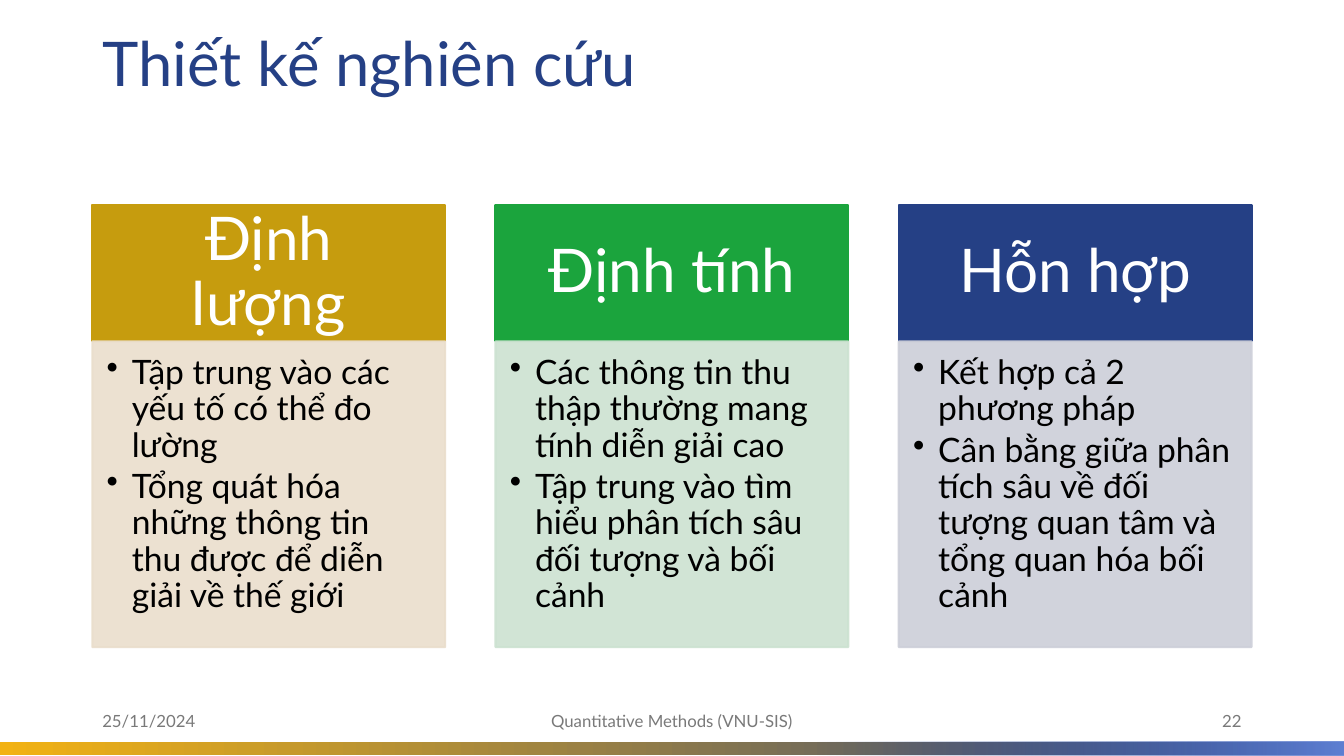
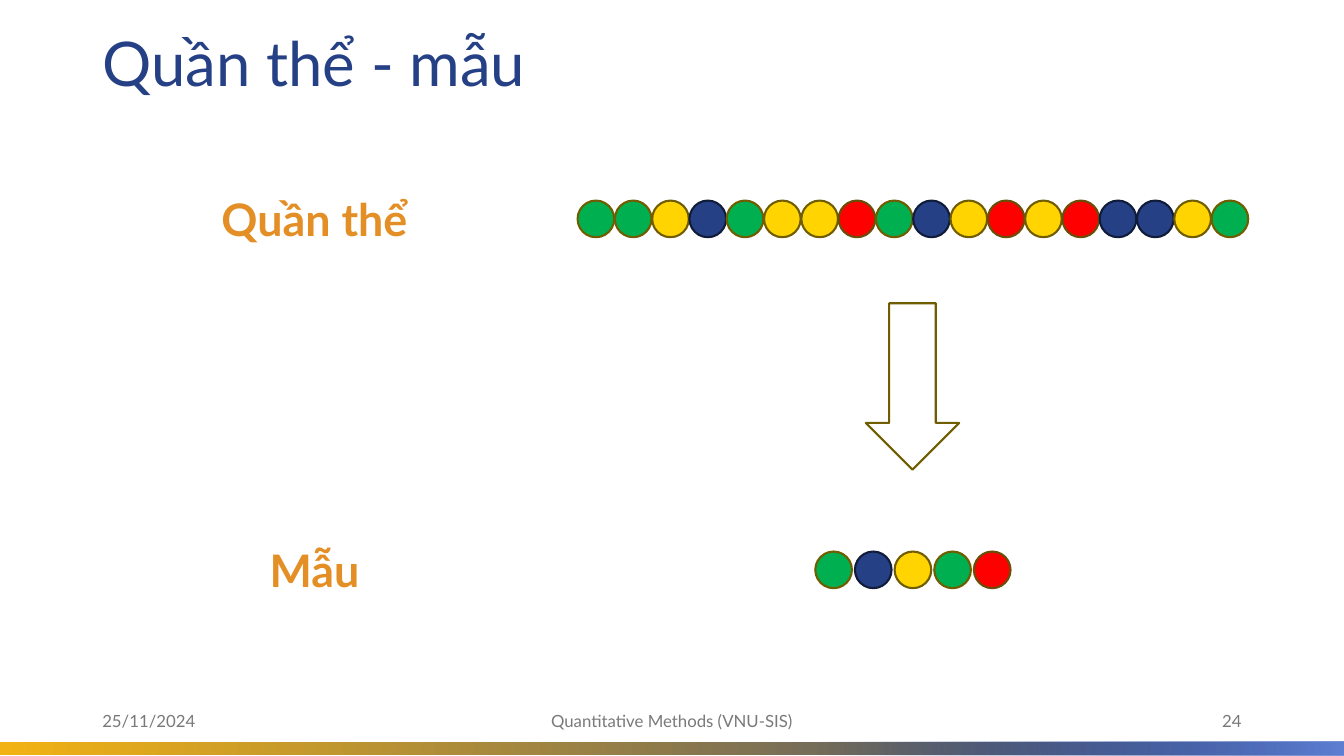
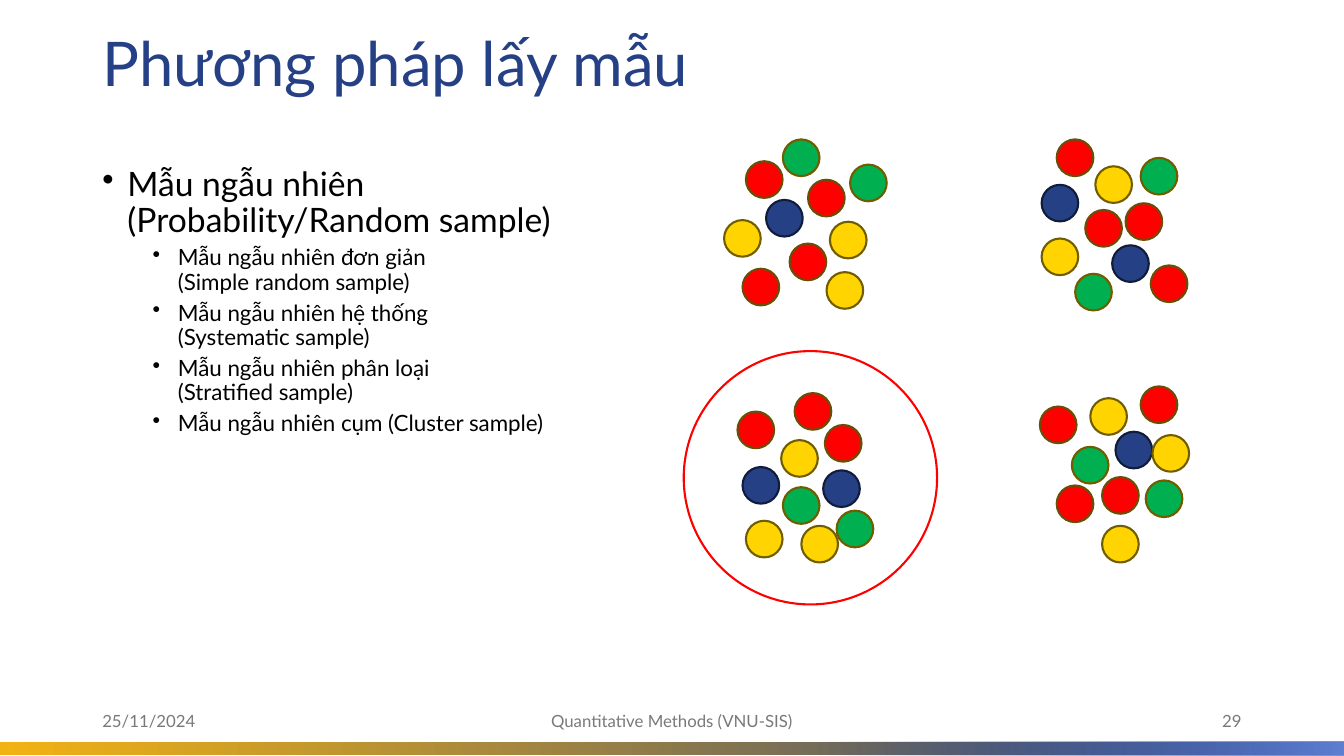
"""Three lecture slides on research design, populations and sampling."""
from copy import deepcopy
from dataclasses import dataclass

from lxml import etree
from pptx import Presentation
from pptx import util as u
from pptx.dml.color import RGBColor
from pptx.enum import shapes, text
from pptx.oxml import ns

COLS, ROWS = 80, 45
CELL = u.Inches(1 / 6)


@dataclass(frozen=True)
class Theme:
    """Colours, type sizes and common measures, in grid cells."""
    font: str = "Lato"
    navy: str = "254085"
    amber: str = "F2B213"
    sky: str = "5F80D3"
    grey: str = "797979"
    black: str = "000000"
    white: str = "FFFFFF"
    red: str = "FF0000"
    orange: str = "E48F26"
    olive: str = "705D00"
    title_size: int = 44
    card_size: int = 43
    label_size: int = 32
    body_size: int = 24
    sub_size: int = 16
    footer_size: int = 12
    line: float = 1.5
    margin: float = 5.5
    ball: float = 2.18


THEME = Theme()
BALLS = {
    "G": ("00B050", THEME.olive),
    "Y": ("FFD400", THEME.olive),
    "R": (THEME.red, "6A4E08"),
    "B": (THEME.navy, "101C3A"),
}


def rgb(code):
    """Turn a hex code into a colour."""
    return RGBColor.from_string(code)


def cells(*counts):
    """Turn grid counts into lengths."""
    return [u.Emu(round(count * CELL)) for count in counts]


def set_alpha(colour, percent):
    """Give a colour element an opacity."""
    etree.SubElement(colour, ns.qn("a:alpha")).set("val", str(percent * 1000))


class Deck:
    """Holds the presentation, its style and the current slide."""

    def __init__(self, theme):
        """Start an empty deck of the grid's size."""
        self.theme = theme
        self.file = Presentation()
        self.file.slide_width, self.file.slide_height = cells(COLS, ROWS)
        self.slide = None

    def start(self, title, number):
        """Add a slide with its title, band and footer."""
        t = self.theme
        self.slide = self.file.slides.add_slide(self.file.slide_layouts[5])
        heading = self.slide.shapes.title
        heading.left, heading.top, heading.width, heading.height = cells(
            t.margin, 0.9, COLS - 2 * t.margin, 6.1)
        self.frame(heading, anchor=text.MSO_ANCHOR.MIDDLE)
        self.add_text(heading, title, t.title_size, t.navy, spacing=0.9)
        self.band(0, COLS, (0, t.amber), (1, t.navy))
        overlay = self.band(41.2, COLS - 41.2, (0.19, t.navy), (1, t.sky))
        set_alpha(next(overlay._element.spPr.iter(ns.qn("a:srgbClr"))), 0)
        footers = (
            (t.margin, 18, "25/11/2024", text.PP_ALIGN.LEFT),
            (26.5, 27, "Quantitative Methods (VNU-SIS)", text.PP_ALIGN.CENTER),
            (COLS - t.margin - 18, 18, str(number), text.PP_ALIGN.RIGHT),
        )
        for left, width, words, align in footers:
            footer = self.box((left, 41.7, width, 2.4), text.MSO_ANCHOR.MIDDLE)
            self.add_text(footer, words, t.footer_size, t.grey, align)

    def band(self, left, width, *stops):
        """Draw a strip with a gradient along the slide's foot."""
        strip = self.shape(shapes.MSO_SHAPE.RECTANGLE, (left, 44.17, width, 0.8))
        strip.fill.gradient()
        strip.fill.gradient_angle = 0
        for stop, (position, colour) in zip(strip.fill.gradient_stops, stops):
            stop.position = position
            stop.color.rgb = rgb(colour)
        return strip

    def shape(self, preset, area, fill=None, line=None):
        """Draw a preset shape with a plain fill and outline."""
        drawn = self.slide.shapes.add_shape(preset, *cells(*area))
        drawn.shadow.inherit = False
        if fill:
            drawn.fill.solid()
            drawn.fill.fore_color.rgb = rgb(fill)
        else:
            drawn.fill.background()
        if line:
            drawn.line.color.rgb = rgb(line)
            drawn.line.width = u.Pt(self.theme.line)
        else:
            drawn.line.fill.background()
        return drawn

    def frame(self, holder, insets=(0.6, 0.3, 0.6, 0.3), anchor=text.MSO_ANCHOR.TOP):
        """Set the wrapping, insets and anchor of a text frame."""
        frame = holder.text_frame
        frame.word_wrap = True
        frame.auto_size = text.MSO_AUTO_SIZE.NONE
        frame.vertical_anchor = anchor
        (frame.margin_left, frame.margin_top,
         frame.margin_right, frame.margin_bottom) = cells(*insets)

    def box(self, area, anchor=text.MSO_ANCHOR.TOP):
        """Add a text box."""
        holder = self.slide.shapes.add_textbox(*cells(*area))
        self.frame(holder, anchor=anchor)
        return holder

    def add_text(self, holder, words, size, colour, align=text.PP_ALIGN.LEFT,
                 bold=False, spacing=1.0, before=0, after=0, bullet_at=None):
        """Add a paragraph, bulleted when a bullet's indent is given."""
        frame = holder.text_frame
        first = not frame.text
        paragraph = frame.paragraphs[0] if first else frame.add_paragraph()
        paragraph.alignment = align
        paragraph.line_spacing = spacing
        paragraph.space_before = u.Pt(0 if first else before)
        paragraph.space_after = u.Pt(after)
        if bullet_at is not None:
            props = paragraph._p.get_or_add_pPr()
            hang = cells(1.5)[0]
            props.set("marL", str(cells(bullet_at)[0] + hang))
            props.set("indent", str(-hang))
            etree.SubElement(props, ns.qn("a:buChar")).set("char", "•")
        for index, line in enumerate(words.split("\n")):
            if index:
                paragraph.add_line_break()
                paragraph._p[-1].append(deepcopy(run._r.rPr))
            run = paragraph.add_run()
            run.text = line
            run.font.name = self.theme.font
            run.font.size = u.Pt(size)
            run.font.bold = bold
            run.font.color.rgb = rgb(colour)

    def card(self, left, heading, colour, tint, points):
        """Draw a coloured heading above a tinted list."""
        t, rectangle = self.theme, shapes.MSO_SHAPE.RECTANGLE
        head = self.shape(rectangle, (left, 12.2, 21, 8.12), colour, colour)
        self.frame(head, (2, 1.15, 2, 1.15), text.MSO_ANCHOR.MIDDLE)
        self.add_text(head, heading, t.card_size, t.white, text.PP_ALIGN.CENTER,
                      spacing=0.9)
        body = self.shape(rectangle, (left, 20.32, 21, 18.2), tint, tint)
        for shade in list(body._element.spPr.iter(ns.qn("a:srgbClr"))):
            set_alpha(shade, 90)
        self.frame(body, (0.85, 0.85, 1.15, 1.28))
        for point in points:
            self.add_text(body, point, t.body_size, t.black, spacing=0.9,
                          after=3.6, bullet_at=0)

    def ball(self, kind, left, top):
        """Draw one member of the population."""
        size = self.theme.ball
        self.shape(shapes.MSO_SHAPE.OVAL, (left, top, size, size), *BALLS[kind])

    def ball_row(self, label, kinds, middle, pitch):
        """Draw a label and a centred row of balls at one height."""
        t = self.theme
        name = self.box((3, middle - 1.93, 31.44, 3.86))
        self.add_text(name, label, t.label_size, t.orange, text.PP_ALIGN.CENTER, True)
        left = 54.34 - ((len(kinds) - 1) * pitch + t.ball) / 2
        for index, kind in enumerate(kinds):
            self.ball(kind, left + index * pitch, middle - t.ball / 2)


def design_slide(deck):
    """Compare the three research designs."""
    deck.start("Thiết kế nghiên cứu", 22)
    designs = (
        ("Định lượng", "C69C0E", "EADECC",
         ("Tập trung vào các yếu tố có thể đo lường",
          "Tổng quát hóa những thông tin thu được để diễn giải về thế giới")),
        ("Định tính", "1BA43D", "CCE2D1",
         ("Các thông tin thu thập thường mang tính diễn giải cao",
          "Tập trung vào tìm hiểu phân tích sâu đối tượng và bối cảnh")),
        ("Hỗn hợp", THEME.navy, "CDCFD9",
         ("Kết hợp cả 2 phương pháp",
          "Cân bằng giữa phân tích sâu về đối tượng quan tâm và "
          "tổng quan hóa bối cảnh")),
    )
    for index, design in enumerate(designs):
        deck.card(THEME.margin + 24 * index, *design)


def population_slide(deck):
    """Show a sample drawn from a population."""
    deck.start("Quần thể - mẫu", 24)
    deck.ball_row("Quần thể", "GGYBGYYRGBYRYRBBYG", 13.03, 2.22)
    deck.ball_row("Mẫu", "GBYGR", 33.92, 2.36)
    deck.shape(shapes.MSO_SHAPE.DOWN_ARROW, (51.54, 18.05, 5.55, 9.9),
               THEME.white, THEME.olive)


def sampling_slide(deck):
    """List random sampling methods beside four clusters."""
    deck.start("Phương pháp lấy mẫu", 29)
    methods = deck.box((THEME.margin, 9.65, 29.65, 30.85))
    deck.add_text(methods, "Mẫu ngẫu nhiên (Probability/Random sample)",
                  THEME.body_size, THEME.black, spacing=0.9, bullet_at=0)
    for method in ("Mẫu ngẫu nhiên đơn giản \n(Simple random sample)",
                   "Mẫu ngẫu nhiên hệ thống \n(Systematic sample)",
                   "Mẫu ngẫu nhiên phân loại \n(Stratified sample)",
                   "Mẫu ngẫu nhiên cụm (Cluster sample)"):
        deck.add_text(methods, method, THEME.sub_size, THEME.black, spacing=0.9,
                      before=5, bullet_at=3)
    clusters = (
        {"B": ((66.2, 14.6), (62, 11)),
         "Y": ((62, 14.2), (65.2, 9.9)),
         "G": ((67.9, 9.4), (64, 16.3)),
         "R": ((64.6, 12.5), (62.9, 8.3), (67, 12.1), (68.5, 15.8))},
        {"B": ((45.6, 11.9),),
         "Y": ((49.2, 16.2), (49.4, 13.2), (43.1, 13.1)),
         "G": ((46.6, 8.3), (50.6, 9.8)),
         "R": ((44.4, 9.6), (44.2, 16), (48.1, 10.7), (47, 14.5))},
        {"B": ((66.4, 25.7),),
         "Y": ((64.9, 23.7), (68.6, 25.9), (65.6, 31.3)),
         "G": ((68.2, 28.6), (63.8, 26.6)),
         "R": ((62.9, 28.9), (67.9, 23), (65.6, 28.4), (61.9, 24.2))},
        {"B": ((49, 28), (44.2, 27.8)),
         "Y": ((44.4, 31), (46.5, 26.2), (47.7, 31.3)),
         "G": ((46.6, 29), (49.8, 30.4)),
         "R": ((47.3, 23.4), (49.1, 25.3), (43.9, 24.5))},
    )
    for cluster in clusters:
        for kind, places in cluster.items():
            for left, top in places:
                deck.ball(kind, left, top)
    deck.shape(shapes.MSO_SHAPE.OVAL, (40.7, 20.9, 15.08, 15.08), line=THEME.red)


def main():
    """Build and save the deck."""
    deck = Deck(THEME)
    for build in (design_slide, population_slide, sampling_slide):
        build(deck)
    deck.file.save("out.pptx")


if __name__ == "__main__":
    main()
